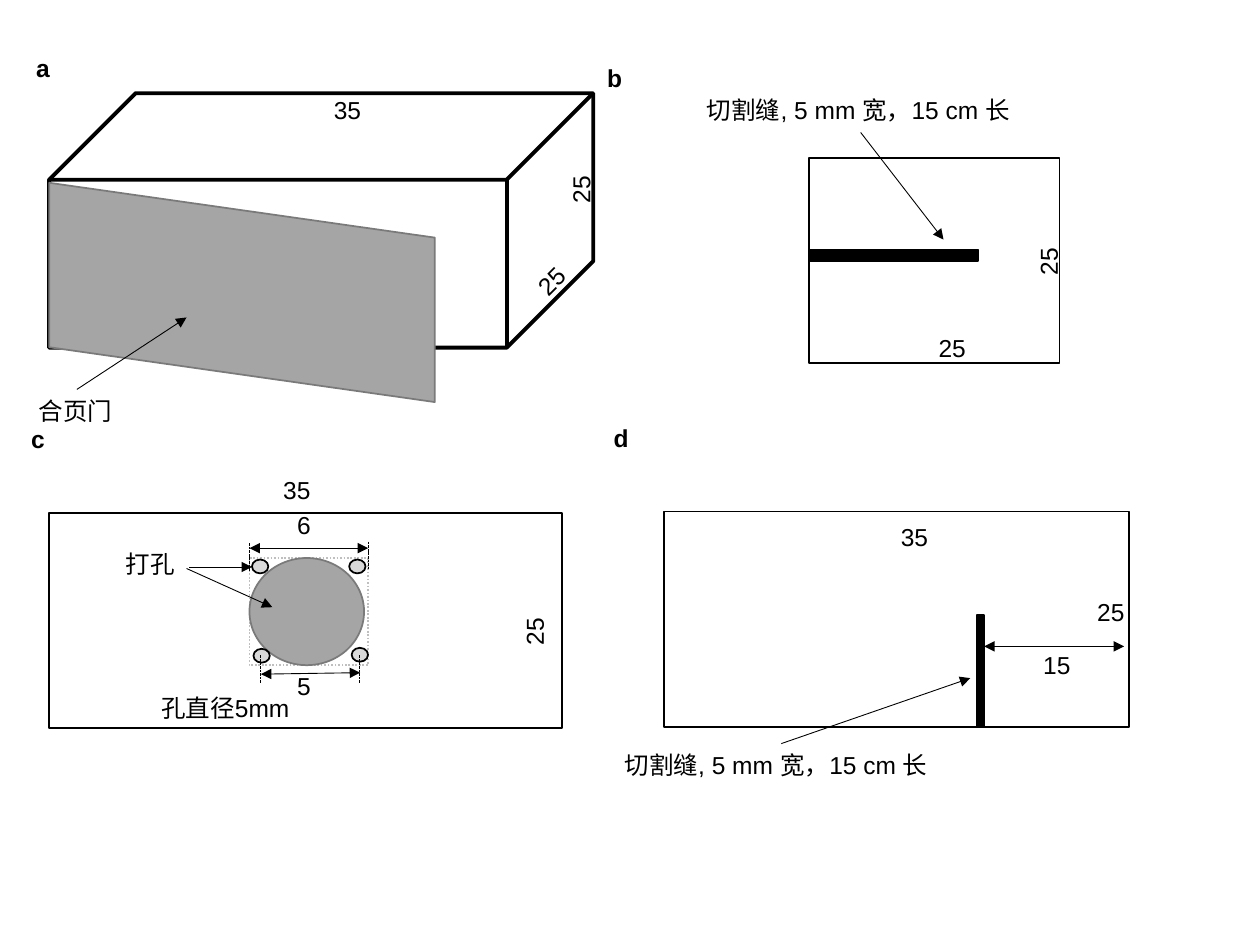
from lxml.etree import SubElement
from pptx import Presentation
from pptx.dml.color import RGBColor
from pptx.enum.dml import MSO_LINE
from pptx.enum.shapes import MSO_CONNECTOR, MSO_SHAPE
from pptx.enum.text import MSO_AUTO_SIZE
from pptx.oxml.ns import qn
from pptx.util import Cm, Pt

BLACK = RGBColor(0x00, 0x00, 0x00)
GREY = RGBColor(0xA5, 0xA5, 0xA5)
DARK_GREY = RGBColor(0x7A, 0x7A, 0x7A)
LIGHT_GREY = RGBColor(0xD9, 0xD9, 0xD9)
DOT_GREY = RGBColor(0xBF, 0xBF, 0xBF)

prs = Presentation()
prs.slide_width, prs.slide_height = Cm(25.4), Cm(19.05)
slide = prs.slides.add_slide(prs.slide_layouts[6])


def add_part(kind, left, top, width, height, fill=None, line=BLACK, weight=1):
    part = slide.shapes.add_shape(kind, Cm(left), Cm(top), Cm(width), Cm(height))
    part.shadow.inherit = False
    if fill is None:
        part.fill.background()
    else:
        part.fill.solid()
        part.fill.fore_color.rgb = fill
    part.line.color.rgb = line
    part.line.width = Pt(weight)
    return part


def add_line(x1, y1, x2, y2, ends=(), dash=None):
    connector = slide.shapes.add_connector(
        MSO_CONNECTOR.STRAIGHT, Cm(x1), Cm(y1), Cm(x2), Cm(y2))
    connector.line.color.rgb = BLACK
    connector.line.width = Pt(0.5)
    if dash is not None:
        connector.line.dash_style = dash
    for end in ends:
        SubElement(connector.line._get_or_add_ln(), qn(f"a:{end}"), type="triangle")
    SubElement(connector._element.spPr, qn("a:effectLst"))


# Panel a: box with hinged door
box = add_part(MSO_SHAPE.CUBE, 0.99, 1.88, 10.97, 5.13, weight=2.25)
box.adjustments[0] = 0.34
door = add_part(MSO_SHAPE.PARALLELOGRAM, 2.67, 2.01, 4.42, 7.77, GREY, DARK_GREY)
door.adjustments[0] = 0.25
door.rotation = 270

# Panel b: side wall with horizontal slot
add_part(MSO_SHAPE.RECTANGLE, 16.31, 3.18, 5.05, 4.14)
add_part(MSO_SHAPE.RECTANGLE, 16.33, 5.03, 3.38, 0.23, BLACK)

# Panel d: wall with vertical slot
add_part(MSO_SHAPE.RECTANGLE, 13.39, 10.31, 9.37, 4.34)
add_part(MSO_SHAPE.RECTANGLE, 19.69, 12.4, 0.15, 2.26, BLACK)

# Panel c: wall with central opening and four corner holes
hole_frame = add_part(MSO_SHAPE.RECTANGLE, 5.03, 11.25, 2.39, 2.16, line=DOT_GREY)
hole_frame.line.dash_style = MSO_LINE.ROUND_DOT
add_part(MSO_SHAPE.OVAL, 5.03, 11.25, 2.31, 2.16, GREY, DARK_GREY)
add_part(MSO_SHAPE.RECTANGLE, 0.99, 10.34, 10.34, 4.34)
for left, top in [(5.08, 11.28), (7.04, 11.28), (7.09, 13.06), (5.11, 13.08)]:
    add_part(MSO_SHAPE.OVAL, left, top, 0.33, 0.28, LIGHT_GREY)

# Pointers from labels to parts
for pointer in [
    (1.55, 7.85, 3.76, 6.4),
    (17.35, 2.67, 19.02, 4.83),
    (15.75, 14.99, 19.56, 13.67),
    (3.81, 11.43, 5.08, 11.43),
    (3.76, 11.46, 5.49, 12.24),
]:
    add_line(*pointer, ends=["tailEnd"])

# Dimension lines
for dimension in [
    (19.84, 13.03, 22.66, 13.03),
    (5.03, 11.05, 7.42, 11.05),
    (5.26, 13.59, 7.26, 13.56),
]:
    add_line(*dimension, ends=["headEnd", "tailEnd"])

# Dashed extension lines
for x, top in [(5.26, 13.21), (7.24, 13.21), (7.42, 10.92), (5.03, 10.95)]:
    add_line(x, top, x, top + 0.56, dash=MSO_LINE.SQUARE_DOT)

# Labels: text, left, top, width, rotation, wraps, bold
SLOT_NOTE = "切割缝, 5 mm 宽，15 cm 长"
for text, left, top, width, rotation, wraps, bold in [
    ("35", 6.48, 1.8, 1.07, 0, False, False),
    ("25", 10.57, 5.18, 1.19, 315, False, False),
    ("25", 11.18, 3.38, 1.07, 270, False, False),
    ("合页门", 0.53, 7.85, 2.01, 0, False, False),
    ("25", 18.67, 6.58, 1.07, 0, False, False),
    ("25", 20.6, 4.83, 1.07, 270, False, False),
    (SLOT_NOTE, 14, 1.8, 6.71, 0, True, False),
    (SLOT_NOTE, 12.34, 14.99, 6.78, 0, True, False),
    ("35", 17.91, 10.39, 1.07, 0, False, False),
    ("25", 21.87, 11.91, 1.07, 0, False, False),
    ("15", 20.78, 12.98, 1.07, 0, False, False),
    ("35", 5.46, 9.45, 1.07, 0, False, False),
    ("25", 10.24, 12.29, 1.07, 270, False, False),
    ("6", 5.74, 10.16, 0.79, 0, False, False),
    ("打孔", 2.29, 10.95, 1.5, 0, False, False),
    ("5", 5.74, 13.41, 0.79, 0, False, False),
    ("孔直径5mm", 3, 13.84, 3.12, 0, True, False),
    ("a", 0.48, 0.94, 0.79, 0, False, True),
    ("b", 11.99, 1.14, 0.81, 0, False, True),
    ("d", 12.12, 8.41, 0.81, 0, False, True),
    ("c", 0.38, 8.43, 0.79, 0, False, True),
]:
    label = slide.shapes.add_textbox(Cm(left), Cm(top), Cm(width), Cm(0.86))
    label.rotation = rotation
    label.text_frame.word_wrap = wraps
    label.text_frame.auto_size = MSO_AUTO_SIZE.SHAPE_TO_FIT_TEXT
    run = label.text_frame.paragraphs[0].add_run()
    run.text = text
    run.font.name = "Arial"
    run.font.size = Pt(14)
    run.font.bold = bold
    run.font.color.rgb = BLACK

prs.save("out.pptx")
